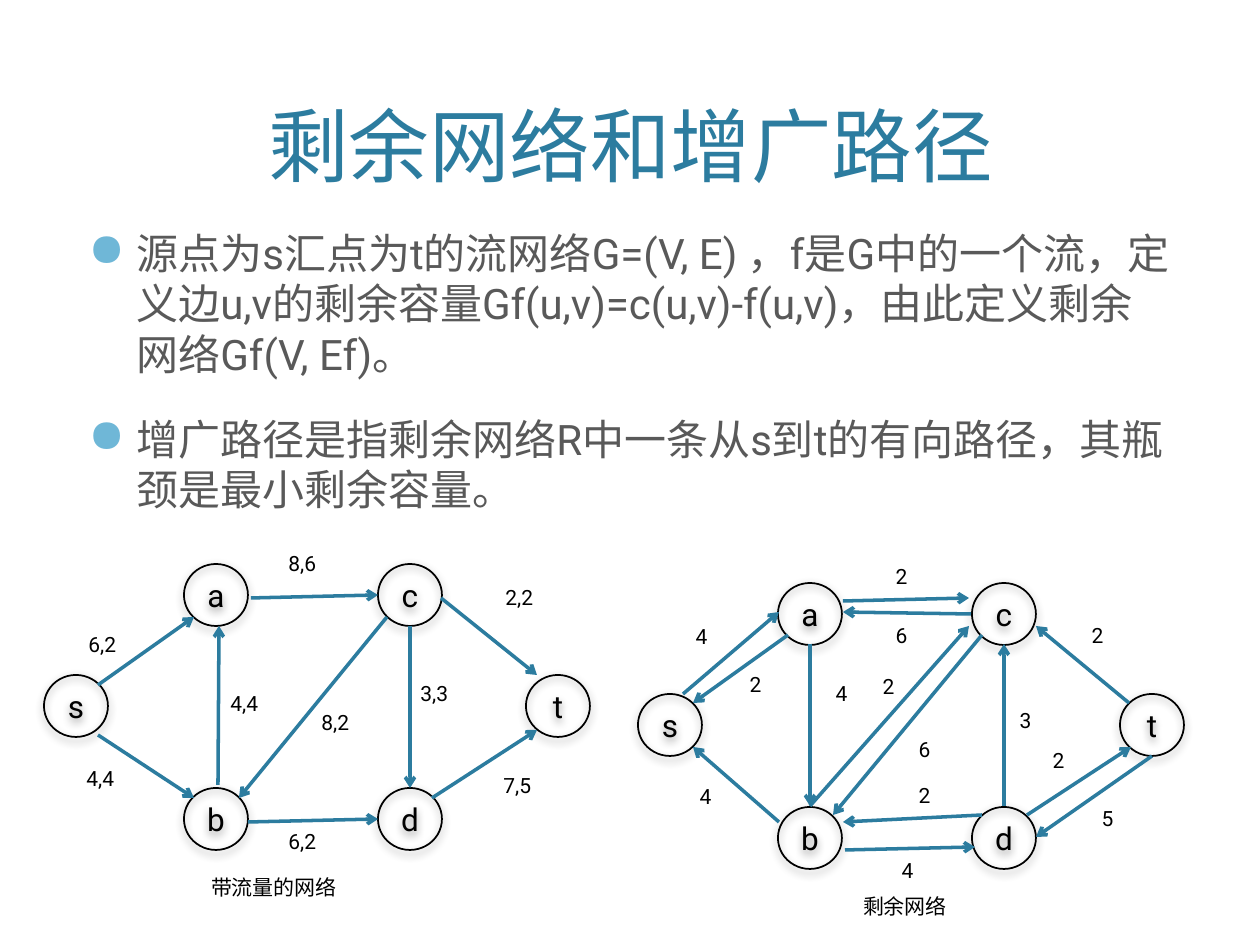
import pptx
import pptx.util
import pptx.dml.color
import pptx.enum.shapes
import pptx.enum.text
import pptx.oxml
import pptx.oxml.ns

PX = 914400 / 126
FONT = "Roboto"
BLUE, BULLET, GREY, BLACK = "2C7C9F", "6FB7D7", "595959", "000000"
ALIGN = pptx.enum.text.PP_ALIGN
ANCHOR = pptx.enum.text.MSO_ANCHOR

TITLE = "剩余网络和增广路径"
POINTS = [
    "源点为s汇点为t的流网络G=(V, E) ，f是G中的一个流，定义边u,v的剩余容量"
    "Gf(u,v)=c(u,v)-f(u,v)，由此定义剩余网络Gf(V, Ef)。",
    "增广路径是指剩余网络R中一条从s到t的有向路径，其瓶颈是最小剩余容量。",
]

# Node corners in the first network; the second repeats them at an offset.
NODES = {"s": (44, 675), "b": (184, 788), "a": (184, 564),
         "t": (526, 675), "d": (378, 788), "c": (378, 564)}
NODE_SIZE = (64, 62)
LABEL_HEIGHT = 38
CAPTION_WIDTH = 334

# Each edge: start, end, label, label corner
NETWORKS = [
    {
        "offset": (0, 0),
        "caption": ("带流量的网络", (107, 868)),
        "label_width": 68, "label_align": ALIGN.LEFT,
        "edges": [
            ((98, 685), (194, 617), "6,2", (76, 625)),
            ((251, 598), (378, 595), "8,6", (276, 544)),
            ((441, 598), (537, 675), "2,2", (493, 578)),
            ((98, 735), (194, 798), "4,4", (74, 759)),
            ((432, 798), (537, 730), "7,5", (491, 766)),
            ((218, 785), (219, 626), "4,4", (218, 684)),
            ((387, 617), (239, 798), "8,2", (309, 703)),
            ((248, 822), (378, 819), "6,2", (276, 822)),
            ((410, 626), (410, 788), "3,3", (408, 674)),
        ],
    },
    {
        "offset": (594, 19),
        "caption": ("剩余网络", (738, 887)),
        "label_width": 45, "label_align": ALIGN.CENTER,
        "edges": [
            ((683, 694), (779, 612), "4", (679, 617)),
            ((843, 601), (969, 598), "2", (879, 557)),
            ((1129, 703), (1036, 626), "2", (1075, 616)),
            ((779, 822), (693, 747), "4", (683, 777)),
            ((1027, 815), (1131, 747), "2", (1036, 741)),
            ((810, 644), (810, 806), "4", (819, 674)),
            ((982, 635), (833, 815), "6", (902, 730)),
            ((845, 850), (975, 847), "4", (885, 851)),
            ((1004, 806), (1004, 644), "3", (1003, 701)),
            ((788, 635), (693, 703), "2", (733, 665)),
            ((982, 815), (843, 822), "2", (902, 776)),
            ((971, 614), (843, 612), "6", (879, 616)),
            ((1152, 756), (1036, 837), "5", (1085, 799)),
            ((810, 806), (969, 626), "2", (866, 667)),
        ],
    },
]


def emu(*lengths):
    return [round(length * PX) for length in lengths]


def rgb(colour):
    return pptx.dml.color.RGBColor.from_string(colour)


def xml(text):
    return pptx.oxml.parse_xml(
        text.replace(" ", f" {pptx.oxml.ns.nsdecls('a')} ", 1))


def style(paragraph, size, colour, align):
    paragraph.alignment = align
    for run in paragraph.runs:
        run.font.name = FONT
        run.font.size = pptx.util.Pt(size)
        run.font.color.rgb = rgb(colour)


def add_title(slide):
    title = slide.shapes.title
    title.left, title.top, title.width, title.height = emu(76, 15, 1109, 184)
    title.text_frame.text = TITLE
    title.text_frame.vertical_anchor = ANCHOR.BOTTOM
    style(title.text_frame.paragraphs[0], 46, BLUE, ALIGN.CENTER)


def add_points(slide):
    frame = slide.shapes.add_textbox(*emu(76, 221, 1109, 598)).text_frame
    frame.word_wrap = True
    frame.text = "\n".join(POINTS)
    indent = emu(48)[0]
    for paragraph in frame.paragraphs:
        style(paragraph, 24, GREY, ALIGN.LEFT)
        paragraph.space_before = pptx.util.Pt(20)
        properties = paragraph._p.get_or_add_pPr()
        properties.set("marL", str(indent))
        properties.set("indent", str(-indent))
        properties.append(xml(f'<a:buClr ><a:srgbClr val="{BULLET}"/></a:buClr>'))
        properties.append(xml('<a:buSzPct val="110000"/>'))
        properties.append(xml('<a:buChar char="●"/>'))


def add_node(slide, name, x, y):
    node = slide.shapes.add_shape(
        pptx.enum.shapes.MSO_SHAPE.OVAL, *emu(x, y, *NODE_SIZE))
    node.fill.background()
    node.line.color.rgb = rgb(BLACK)
    node.line.width = pptx.util.Pt(1)
    node.shadow.inherit = False
    node._element.spPr.find(pptx.oxml.ns.qn("a:effectLst")).append(xml(
        '<a:outerShdw blurRad="63500" dist="25400" dir="5400000" rotWithShape="0">'
        f'<a:srgbClr val="{BLACK}"><a:alpha val="40000"/></a:srgbClr></a:outerShdw>'))
    node.text_frame.text = name
    node.text_frame.vertical_anchor = ANCHOR.MIDDLE
    style(node.text_frame.paragraphs[0], 18, BLACK, ALIGN.CENTER)


def add_arrow(slide, start, end):
    arrow = slide.shapes.add_connector(
        pptx.enum.shapes.MSO_CONNECTOR.STRAIGHT, *emu(*start, *end))
    arrow.line.color.rgb = rgb(BLUE)
    arrow.line.width = pptx.util.Pt(2)
    arrow.line._get_or_add_ln().append(xml('<a:tailEnd type="arrow"/>'))
    arrow._element.spPr.append(xml("<a:effectLst />"))


def add_label(slide, text, corner, width, align):
    frame = slide.shapes.add_textbox(*emu(*corner, width, LABEL_HEIGHT)).text_frame
    frame.word_wrap = True
    frame.text = text
    style(frame.paragraphs[0], 12, BLACK, align)


def add_network(slide, network):
    dx, dy = network["offset"]
    for name, (x, y) in NODES.items():
        add_node(slide, name, x + dx, y + dy)
    for start, end, _, _ in network["edges"]:
        add_arrow(slide, start, end)
    for _, _, label, corner in network["edges"]:
        add_label(slide, label, corner, network["label_width"], network["label_align"])
    add_label(slide, *network["caption"], CAPTION_WIDTH, ALIGN.CENTER)


def main():
    deck = pptx.Presentation()
    deck.slide_width, deck.slide_height = emu(1260, 945)
    slide = deck.slides.add_slide(deck.slide_layouts.get_by_name("Title Only"))
    add_title(slide)
    add_points(slide)
    for network in NETWORKS:
        add_network(slide, network)
    deck.save("out.pptx")


if __name__ == "__main__":
    main()
